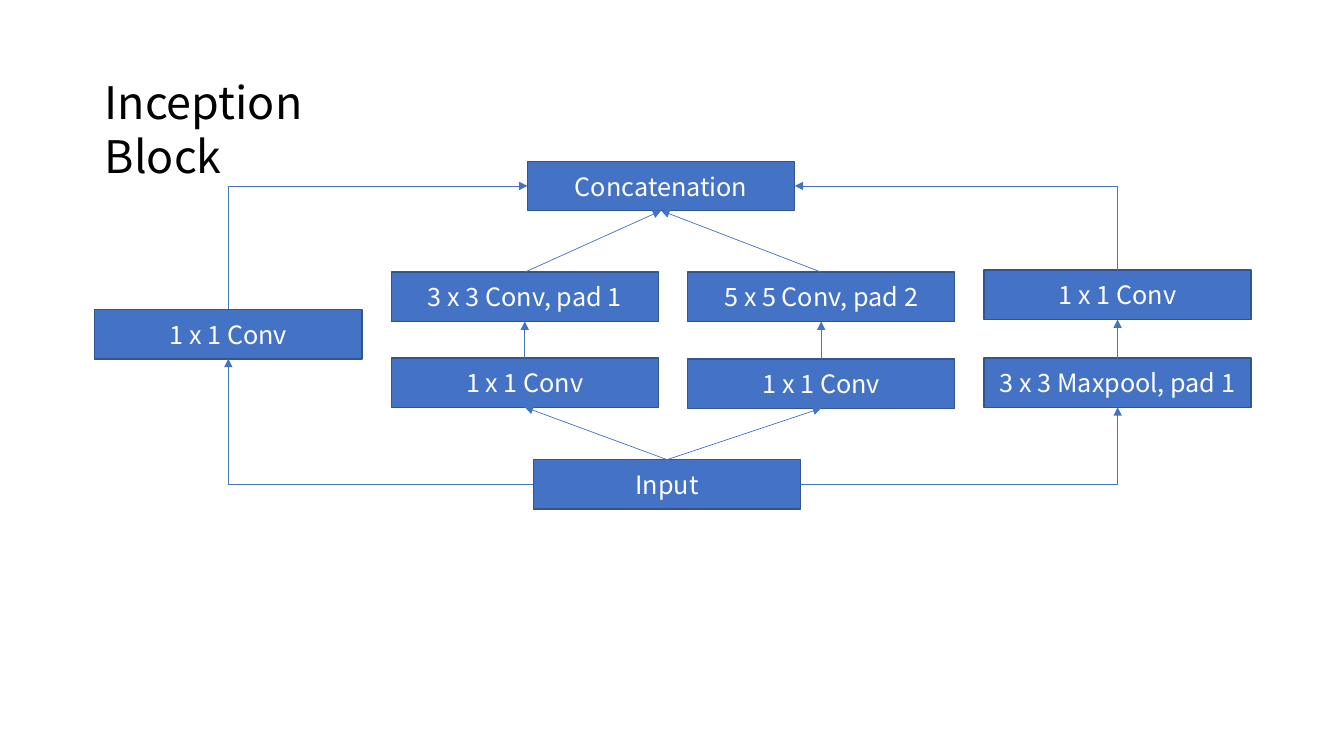
from pptx import Presentation, util as u
from pptx.dml.color import RGBColor
from pptx.enum import shapes as sh, text as tx
from pptx.oxml import parse_xml
from pptx.oxml.ns import nsdecls

FONT = "Noto Sans CJK KR"
HUES = {"fill": "4472C4", "edge": "325491", "white": "FFFFFF", "black": "000000"}
LEFT, STEP = 0.94, 2.94  # first column and column pitch, inches
WIDE, HIGH = 2.65, 0.49  # box size, inches
TOP, SIDE, BASE, EAST = range(4)  # connection sites of a box

deck = Presentation()
deck.slide_width, deck.slide_height = u.Inches(13.33), u.Inches(7.5)
slide = deck.slides.add_slide(deck.slide_layouts[6])


def style(para, size, hue):
    font = para.runs[0].font
    font.name, font.size = FONT, u.Pt(size)
    font.color.rgb = RGBColor.from_string(HUES[hue])


def link(start, site, end, goal, kind="line", tip="tailEnd"):
    line = slide.shapes.add_connector(sh.MSO_CONNECTOR.STRAIGHT, 0, 0, 0, 0)
    line.begin_connect(boxes[start], site)
    line.end_connect(boxes[end], goal)
    line.line.color.rgb = RGBColor.from_string(HUES["fill"])
    line.line.width = u.Pt(0.5)
    props = line._element.spPr
    props.prstGeom.set("prst", kind)
    props.get_or_add_ln().append(parse_xml(f'<a:{tip} {nsdecls("a")} type="triangle"/>'))
    props.append(parse_xml(f'<a:effectLst {nsdecls("a")}/>'))


# Layer boxes: name, column, top, label
layers = [
    ("concat", 1.46, 1.6, "Concatenation"),
    ("conv3", 1, 2.7, "3 x 3 Conv, pad 1"),
    ("conv5", 2, 2.7, "5 x 5 Conv, pad 2"),
    ("left", 0, 3.07, "1 x 1 Conv"),
    ("right", 3, 2.68, "1 x 1 Conv"),
    ("pre3", 1, 3.55, "1 x 1 Conv"),
    ("pre5", 2, 3.56, "1 x 1 Conv"),
    ("input", 1.48, 4.56, "Input"),
    ("pool", 3, 3.55, "3 x 3 Maxpool, pad 1"),
]
boxes = {}
for name, col, top, label in layers:
    place = [u.Inches(n) for n in (LEFT + col * STEP, top, WIDE, HIGH)]
    box = boxes[name] = slide.shapes.add_shape(sh.MSO_SHAPE.RECTANGLE, *place)
    box.shadow.inherit = False
    box.fill.solid()
    box.fill.fore_color.rgb = RGBColor.from_string(HUES["fill"])
    box.line.color.rgb = RGBColor.from_string(HUES["edge"])
    box.line.width = u.Pt(1)
    frame = box.text_frame
    frame.text = label
    frame.vertical_anchor = tx.MSO_ANCHOR.MIDDLE
    frame.paragraphs[0].alignment = tx.PP_ALIGN.CENTER
    style(frame.paragraphs[0], 18, "white")

# Straight arrows, each from a box top to a box base
for start, end in [("pre3", "conv3"), ("conv3", "concat"), ("conv5", "concat"),
                   ("pre5", "conv5"), ("input", "pre3"), ("input", "pre5"),
                   ("pool", "right")]:
    link(start, TOP, end, BASE)

# Elbow arrows run flat first; the upper two carry the arrowhead at their start
for side, low, high in [(SIDE, "left", "left"), (EAST, "pool", "right")]:
    link("input", side, low, BASE, "bentConnector2")
    link("concat", side, high, TOP, "bentConnector2", "headEnd")

# Title
title = slide.shapes.add_textbox(*[u.Inches(n) for n in (LEFT, 0.69, 3.2, 0.64)])
title.text_frame.word_wrap = True
title.text_frame.text = "Inception Block"
style(title.text_frame.paragraphs[0], 32, "black")

deck.save("out.pptx")
